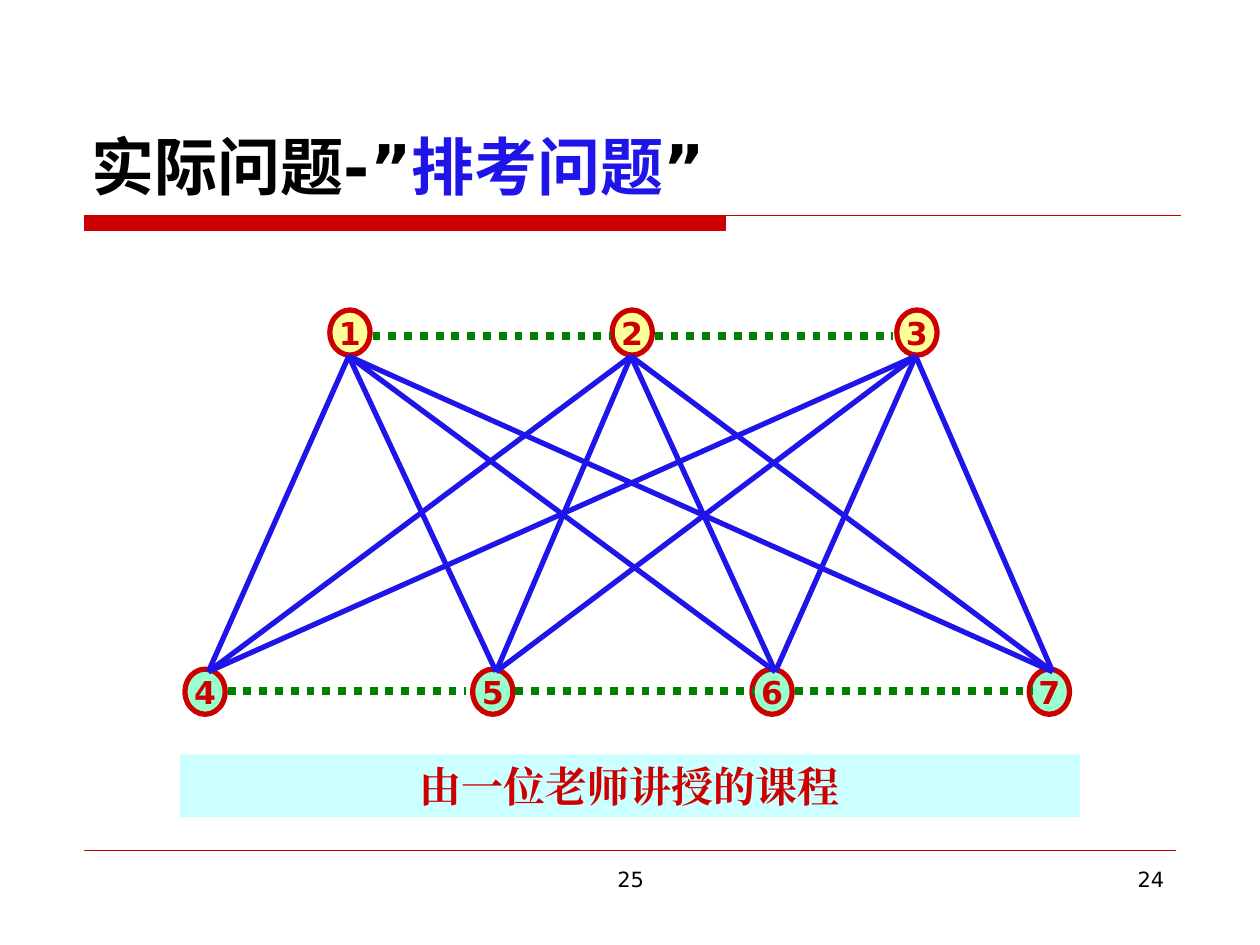
from itertools import product

from lxml.etree import SubElement
from pptx import Presentation
from pptx.dml.color import RGBColor
from pptx.enum.dml import MSO_LINE
from pptx.enum.shapes import MSO_CONNECTOR, MSO_SHAPE
from pptx.enum.text import MSO_ANCHOR, PP_ALIGN
from pptx.oxml.ns import qn
from pptx.util import Cm, Pt

RED, BLUE, GREEN, BLACK = "CC0000", "1F15E9", "008000", "000000"
YELLOW, MINT, AQUA = "FFFF99", "99FFCC", "CCFFFF"
SANS, SERIF = "DejaVu Sans", "Times New Roman"

NODE_WIDTH, NODE_HEIGHT = 0.81, 0.91
UPPER_TOP, LOWER_TOP = 6.25, 13.49
UPPER_LEFTS = (6.65, 12.34, 18.08)
LOWER_LEFTS = (3.73, 9.53, 15.16, 20.75)


def color(value):
    return RGBColor.from_string(value)


def add_span(para, text, size, value, bold=False, font=SANS):
    span = para.add_run()
    span.text = text
    span.font.size = Pt(size)
    span.font.bold = bold
    span.font.name = font
    span.font.color.rgb = color(value)
    east_asian = SubElement(span.font._element, qn("a:ea"))
    east_asian.set("typeface", font)


def add_title(page):
    title = page.shapes.title
    title.left, title.top, title.width, title.height = Cm(1.6), Cm(0.84), Cm(22.5), Cm(3.38)
    title.text_frame.vertical_anchor = MSO_ANCHOR.BOTTOM
    para = title.text_frame.paragraphs[0]
    para.alignment = PP_ALIGN.LEFT
    for text, value in (("实际问题-”", BLACK), ("排考问题", BLUE), ("”", BLACK)):
        add_span(para, text, 36, value, bold=True)


def add_title_rule(page):
    """Thick bar under the title, carried on to the right by a thin line."""
    left, top, bar_right, right = Cm(1.7), Cm(4.34), Cm(14.63), Cm(23.8)
    bottom = top + Cm(0.31)
    builder = page.shapes.build_freeform(left, top)
    builder.add_line_segments([(bar_right, top), (bar_right, bottom), (left, bottom)])
    builder.move_to(left, top)
    builder.add_line_segments([(right, top)], close=False)
    rule = builder.convert_to_shape()
    rule.shadow.inherit = False
    rule.fill.solid()
    rule.fill.fore_color.rgb = color(RED)
    rule.line.color.rgb = color(RED)
    rule.line.width = Pt(0.75)


def add_line(page, start, end, value, width, dash=None):
    line = page.shapes.add_connector(
        MSO_CONNECTOR.STRAIGHT, *(Cm(length) for length in (*start, *end)))
    line.line.color.rgb = color(value)
    line.line.width = Pt(width)
    if dash:
        line.line.dash_style = dash
    SubElement(line._element.spPr, qn("a:effectLst"))


def add_number(page, text, left, width, alignment):
    box = page.shapes.add_textbox(Cm(left), Cm(17.35), Cm(width), Cm(1.32))
    box.text_frame.word_wrap = True
    para = box.text_frame.paragraphs[0]
    para.alignment = alignment
    add_span(para, text, 12, BLACK)


def add_filled_shape(page, kind, left, top, width, height, fill):
    shape = page.shapes.add_shape(kind, Cm(left), Cm(top), Cm(width), Cm(height))
    shape.shadow.inherit = False
    shape.fill.solid()
    shape.fill.fore_color.rgb = color(fill)
    shape.text_frame.paragraphs[0].alignment = PP_ALIGN.CENTER
    return shape


def add_node(page, label, left, top, fill):
    node = add_filled_shape(page, MSO_SHAPE.OVAL, left, top, NODE_WIDTH, NODE_HEIGHT, fill)
    node.line.color.rgb = color(RED)
    node.line.width = Pt(3)
    node.text_frame.word_wrap = False
    node.text_frame.vertical_anchor = MSO_ANCHOR.MIDDLE
    add_span(node.text_frame.paragraphs[0], label, 18, RED, bold=True)


def add_graph(page):
    """Solid edges between the rows, dotted links between neighbours in a row."""
    rows = ((UPPER_LEFTS, UPPER_TOP, YELLOW), (LOWER_LEFTS, LOWER_TOP, MINT))
    nodes = [(left, top, fill) for lefts, top, fill in rows for left in lefts]
    for number, node in enumerate(nodes, 1):
        add_node(page, str(number), *node)
    for lower, upper in product(LOWER_LEFTS, UPPER_LEFTS):
        add_line(page, (lower + 0.47, LOWER_TOP + 0.05),
                 (upper + 0.38, UPPER_TOP + NODE_HEIGHT + 0.02), BLUE, 3)
    for lefts, y in ((UPPER_LEFTS, 6.77), (LOWER_LEFTS, 13.93)):
        for left in lefts[:-1]:
            start = left + 0.86
            add_line(page, (start, y), (start + 4.81, y), GREEN, 4.5, MSO_LINE.ROUND_DOT)


def add_banner(page):
    banner = add_filled_shape(page, MSO_SHAPE.RECTANGLE, 3.63, 15.21, 18.14, 1.27, AQUA)
    banner.line.fill.background()
    banner.text_frame.vertical_anchor = MSO_ANCHOR.TOP
    add_span(banner.text_frame.paragraphs[0], "由一位老师讲授的课程", 24, RED, True, SERIF)


def main():
    deck = Presentation()
    deck.slide_width, deck.slide_height = Cm(25.4), Cm(19.05)
    page = deck.slides.add_slide(deck.slide_layouts[5])
    add_title_rule(page)
    add_line(page, (1.7, 17.15), (23.7, 17.15), RED, 0.25)
    add_number(page, "25", 8.69, 8.05, PP_ALIGN.CENTER)
    add_number(page, "24", 18.21, 5.51, PP_ALIGN.RIGHT)
    add_title(page)
    add_graph(page)
    add_banner(page)
    deck.save("out.pptx")


if __name__ == "__main__":
    main()
